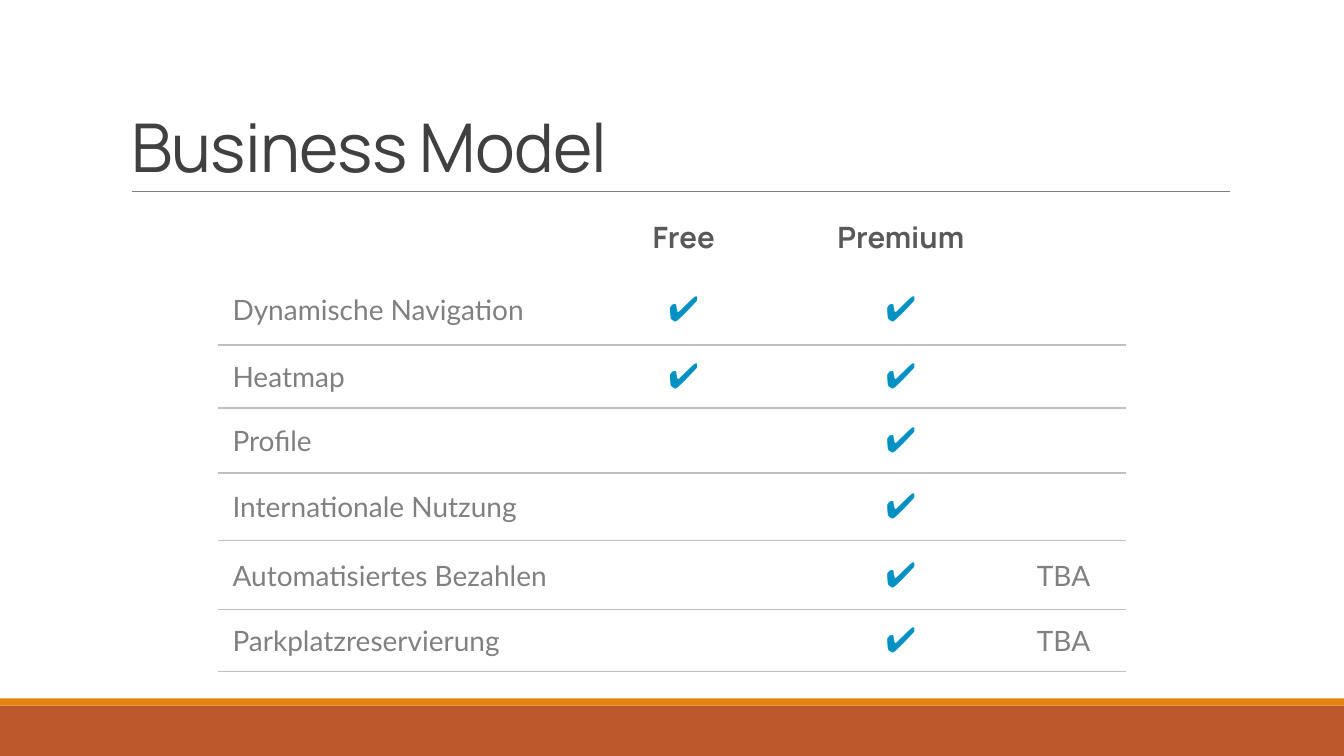
from dataclasses import dataclass
from lxml.etree import SubElement
from pptx import Presentation
from pptx.dml.color import RGBColor as RGB
from pptx.enum.shapes import MSO_CONNECTOR as CONN, MSO_SHAPE as SHAPE
from pptx.enum.text import MSO_ANCHOR as ANCHOR, MSO_AUTO_SIZE as FIT, PP_ALIGN as ALIGN
from pptx.oxml.ns import qn
from pptx.util import Pt

TITLE = "Business Model"
CHECK = "✔️"
ROWS = [
    ("", "Free", "Premium", ""),
    ("Dynamische Navigation", CHECK, CHECK, ""),
    ("Heatmap", CHECK, CHECK, ""),
    ("Profile", "", CHECK, ""),
    ("Internationale Nutzung", "", CHECK, ""),
    ("Automatisiertes Bezahlen", "", CHECK, "TBA"),
    ("Parkplatzreservierung", "", CHECK, "TBA"),
]
COL_WIDTHS = (264.3, 136.1, 174.2, 73.4)
ROW_HEIGHTS = (46.1, 50.4, 45, 46.5, 48.5, 49.2, 44.3)
CENTRED_COLS = (1, 2)
SLIDE_W, SLIDE_H = 960, 540
FOOTER_H, STRIPE_H = 36, 5.2


@dataclass(frozen=True)
class Theme:
    """Colours and text styles (font, size, colour, bold) of the slide."""
    footer: str = "BD582C"
    stripe: str = "E48312"
    paper: str = "FFFFFF"
    title_rule: str = "808080"
    row_rule: str = "BFBFBF"
    title: tuple = ("Manrope", 48, "404040", False)
    head: tuple = ("Manrope", 21, "595959", True)
    body: tuple = ("Lato", 20, "808080", False)
    check: tuple = ("Calibri", 25, "0091C4", False)


THEME = Theme()


def style(p, text_style):
    """Apply a theme text style to a paragraph."""
    name, size, color, bold = text_style
    p.font.name, p.font.size, p.font.bold = name, Pt(size), bold
    p.font.color.rgb = RGB.from_string(color)


def add_band(s, top, height, color):
    """Draw a full-width colour band."""
    sp = s.shapes.add_shape(SHAPE.RECTANGLE, 0, Pt(top), Pt(SLIDE_W), Pt(height))
    sp.shadow.inherit = False
    sp.fill.solid()
    sp.fill.fore_color.rgb = RGB.from_string(color)
    sp.line.fill.background()


def add_title(s):
    """Place the title and the rule below it."""
    sp = s.shapes.title
    sp.left, sp.top, sp.width, sp.height = Pt(86.4), Pt(22.6), Pt(792), Pt(114.2)
    tf = sp.text_frame
    tf.text, tf.vertical_anchor, tf.auto_size = TITLE, ANCHOR.BOTTOM, FIT.NONE
    p = tf.paragraphs[0]
    p.alignment, p.line_spacing = ALIGN.LEFT, 0.85
    style(p, THEME.title)
    p.runs[0].font._element.set("spc", "-50")
    rule = s.shapes.add_connector(CONN.STRAIGHT, Pt(94.1), Pt(136.8), Pt(878.8), Pt(136.8))
    rule.line.width = Pt(0.5)
    rule.line.color.rgb = RGB.from_string(THEME.title_rule)
    SubElement(rule._element.spPr, qn("a:effectLst"))


def set_borders(cell, colors):
    """Set the cell's edges; an edge without a colour stays unlined."""
    tc_pr = cell._tc.get_or_add_tcPr()
    for edge in "LRTB":
        ln = SubElement(tc_pr, qn(f"a:ln{edge}"), w=str(Pt(1)))
        if edge in colors:
            fill = SubElement(ln, qn("a:solidFill"))
            SubElement(fill, qn("a:srgbClr"), val=colors[edge])
        else:
            SubElement(ln, qn("a:noFill"))


def fill_cell(cell, text, row, col):
    """Write and format one table cell."""
    header = row == 0
    sides = {"L": THEME.paper, "R": THEME.paper, "B": THEME.row_rule}
    if row > 1:
        sides["T"] = THEME.row_rule
    set_borders(cell, {} if header else sides)
    if header:
        cell.fill.solid()
        cell.fill.fore_color.rgb = RGB.from_string(THEME.paper)
    else:
        cell.fill.background()
    cell.margin_left = cell.margin_right = Pt(10.1)
    cell.margin_top = cell.margin_bottom = Pt(5)
    cell.vertical_anchor = ANCHOR.TOP if header else ANCHOR.MIDDLE
    cell.text = text
    p = cell.text_frame.paragraphs[0]
    p.alignment = ALIGN.CENTER if col in CENTRED_COLS else ALIGN.LEFT
    style(p, THEME.head if header else THEME.check if text == CHECK else THEME.body)


def add_feature_table(s):
    """Build the table comparing the two plans."""
    frame = s.shapes.add_table(len(ROWS), len(COL_WIDTHS), Pt(156), Pt(149.9),
                               Pt(sum(COL_WIDTHS)), Pt(sum(ROW_HEIGHTS)))
    table = frame.table
    table.first_row = table.horz_banding = False
    for column, width in zip(table.columns, COL_WIDTHS):
        column.width = Pt(width)
    for i, (values, height) in enumerate(zip(ROWS, ROW_HEIGHTS)):
        table.rows[i].height = Pt(height)
        for j, text in enumerate(values):
            fill_cell(table.cell(i, j), text, i, j)


def main():
    """Build and save the slide."""
    prs = Presentation()
    prs.slide_width, prs.slide_height = Pt(SLIDE_W), Pt(SLIDE_H)
    s = prs.slides.add_slide(prs.slide_layouts.get_by_name("Title Only"))
    footer_top = SLIDE_H - FOOTER_H
    add_band(s, footer_top, FOOTER_H, THEME.footer)
    add_band(s, footer_top - STRIPE_H, STRIPE_H, THEME.stripe)
    add_title(s)
    add_feature_table(s)
    prs.save("out.pptx")


if __name__ == "__main__":
    main()
